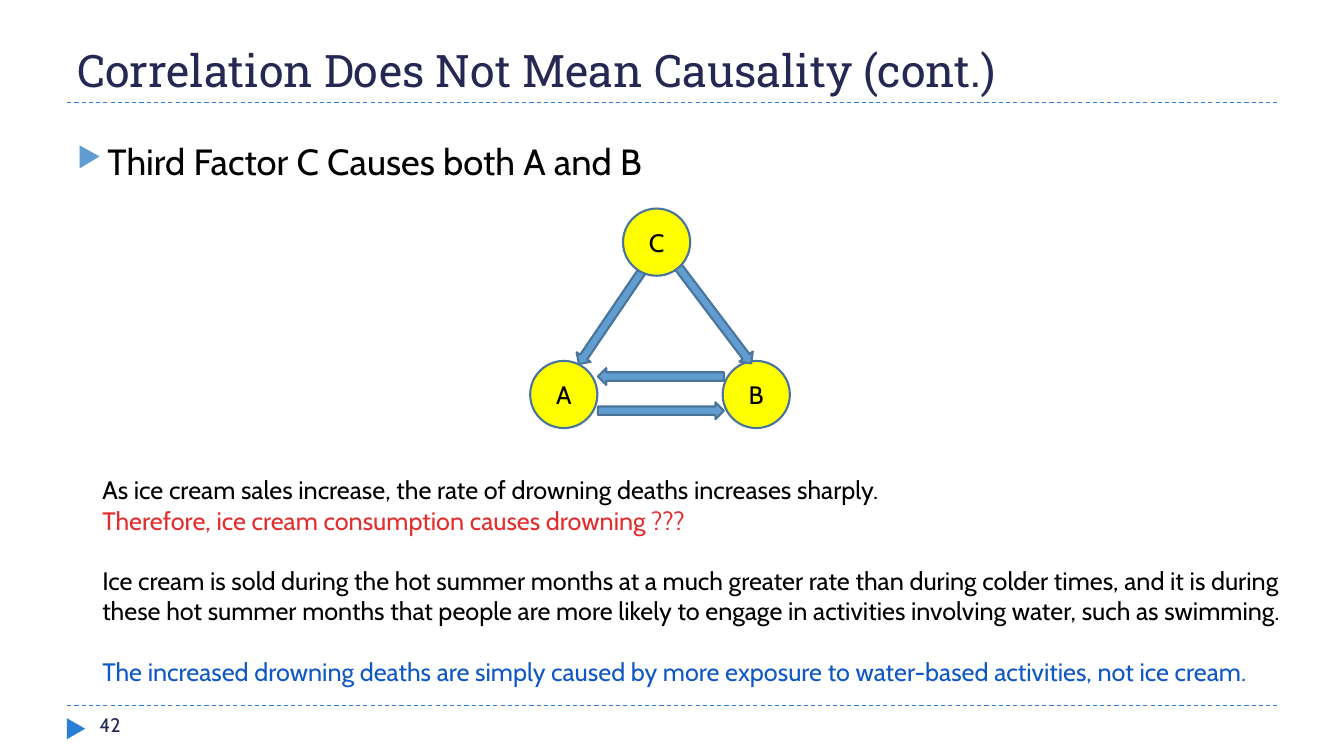
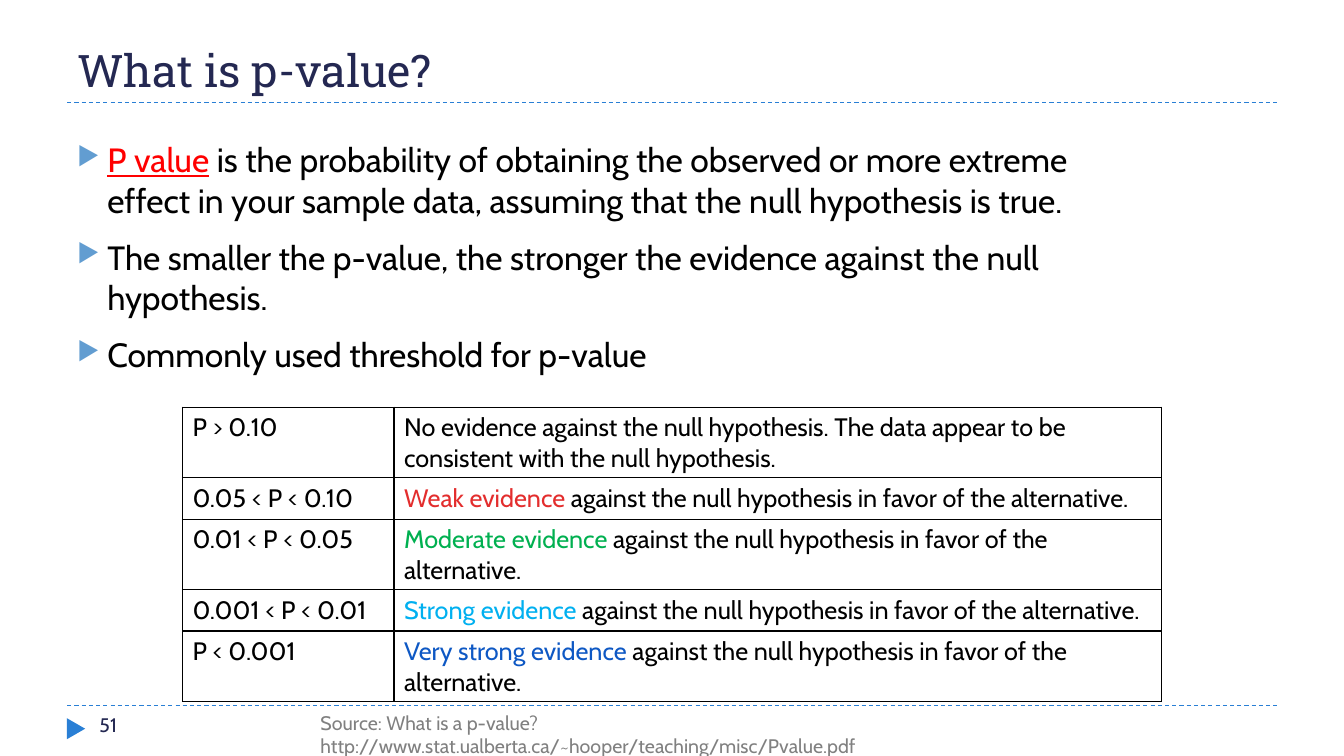
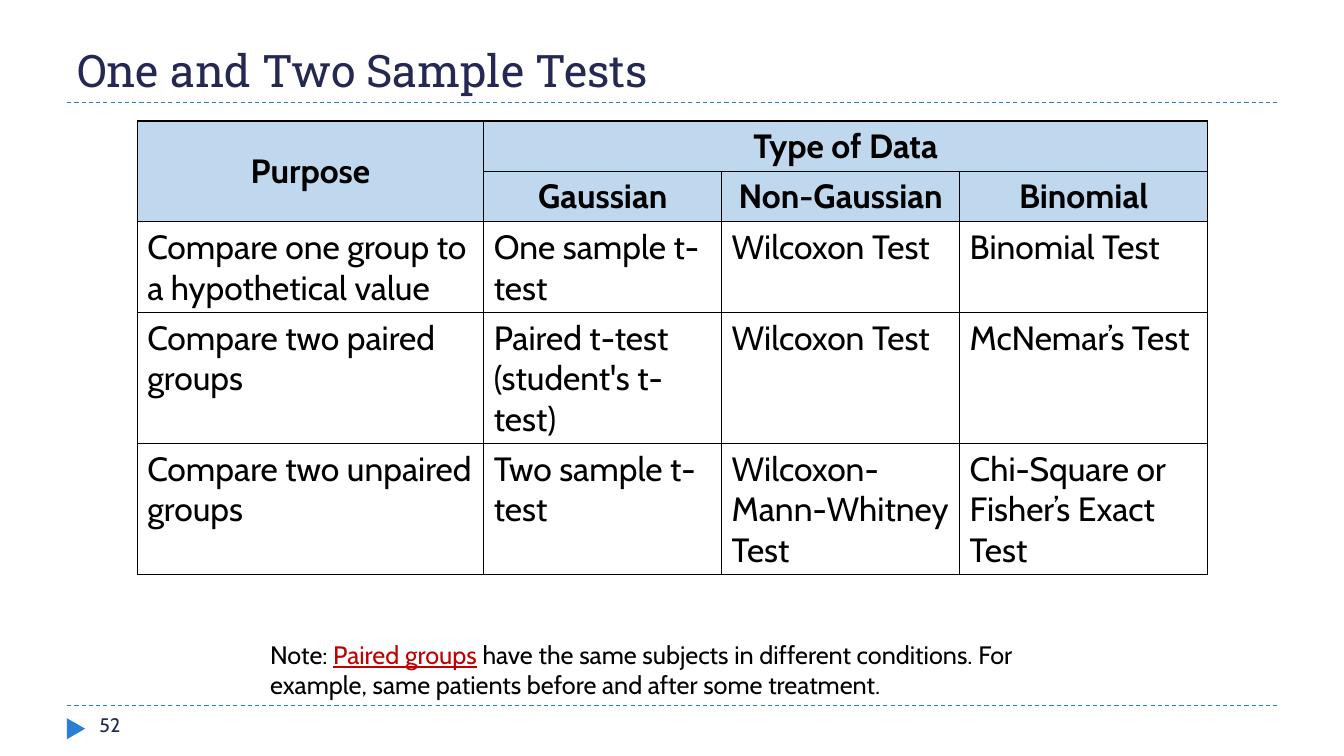
from dataclasses import dataclass

from lxml.etree import SubElement
from pptx import Presentation
from pptx.dml.color import RGBColor
from pptx.enum.dml import MSO_LINE
from pptx.enum.shapes import MSO_CONNECTOR, MSO_SHAPE as Preset
from pptx.enum.text import MSO_ANCHOR as Anchor, PP_ALIGN as Align
from pptx.oxml.ns import qn
from pptx.util import Pt


@dataclass(frozen=True)
class Theme:
    body_font: str = "Cabin"
    title_font: str = "Roboto Slab"
    navy: str = "242852"
    rule: str = "297FD5"
    accent: str = "629DD1"
    outline: str = "49749B"
    node: str = "FFFF00"
    header: str = "C0D8ED"
    black: str = "000000"
    gray: str = "808080"
    red: str = "E32D2D"
    bright_red: str = "FF0000"
    dark_red: str = "C00000"
    green: str = "00B050"
    sky: str = "00B0F0"
    blue: str = "0E58C4"
    title_size: int = 32
    lead_size: int = 26
    large_size: int = 24
    text_size: int = 18
    small_size: int = 14


THEME = Theme()

# Content: a paragraph is a list of spans (text, colour, underlined)
CAUSE_TITLE = "Correlation Does Not Mean Causality (cont.)"
CAUSE_BULLETS = [[("Third Factor C Causes both A and B",)]]
NODES = {"A": (378.7, 257.8), "B": (516.2, 257.8), "C": (445, 149)}
ARROWS = [  # centre x, centre y, rotation
    (472, 293.4, 0), (472, 268.9, 180),
    (438.8, 222.8, 124.2), (509.4, 223.6, 52.9),
]
ICE_CREAM = [
    [("As ice cream sales increase, the rate of drowning deaths increases sharply.",)],
    [("Therefore, ice cream consumption causes drowning ???", THEME.red)],
    [("Ice cream is sold during the hot summer months at a much greater rate than "
      "during colder times, and it is during these hot summer months that people are "
      "more likely to engage in activities involving water, such as swimming.",)],
    [("The increased drowning deaths are simply caused by more exposure to "
      "water-based activities, not ice cream.", THEME.blue)],
]

PVALUE_TITLE = "What is p-value?"
PVALUE_BULLETS = [
    [("P value", THEME.bright_red, True),
     (" is the probability of obtaining the observed or more extreme effect in your "
      "sample data, assuming that the null hypothesis is true.",)],
    [("The smaller the p-value, the stronger the evidence against the null hypothesis.",)],
    [("Commonly used threshold for p-value",)],
]
AGAINST = (" against the null hypothesis in favor of the alternative.",)
EVIDENCE = [
    ("0.05 < P < 0.10", "Weak evidence", THEME.red),
    ("0.01 < P < 0.05", "Moderate evidence", THEME.green),
    ("0.001 < P < 0.01", "Strong evidence", THEME.sky),
    ("P < 0.001", "Very strong evidence", THEME.blue),
]
THRESHOLDS = [
    [[("P > 0.10",)],
     [("No evidence against the null hypothesis. The data appear to be consistent "
       "with the null hypothesis.",)]],
] + [[[(span,)], [(strength, colour), AGAINST]] for span, strength, colour in EVIDENCE]
SOURCE = [[("Source: What is a p-value? "
            "http://www.stat.ualberta.ca/~hooper/teaching/misc/Pvalue.pdf", THEME.gray)]]

TESTS_TITLE = "One and Two Sample Tests"
TESTS = [
    ["Purpose", "Type of Data", "", ""],
    ["", "Gaussian", "Non-Gaussian", "Binomial"],
    ["Compare one group to a hypothetical value", "One sample t-test",
     "Wilcoxon Test", "Binomial Test"],
    ["Compare two paired groups", "Paired t-test (student's t-test)",
     "Wilcoxon Test", "McNemar’s Test"],
    ["Compare two unpaired groups", "Two sample t-test",
     "Wilcoxon-Mann-Whitney Test", "Chi-Square or Fisher’s Exact Test"],
]
PAIRED_NOTE = [[
    ("Note: ",), ("Paired groups", THEME.dark_red, True),
    (" have the same subjects in different conditions. For example, same patients "
     "before and after some treatment.",),
]]


# Text
def write(frame, paragraphs, size, font=THEME.body_font, bold=False, align=Align.LEFT):
    for index, spans in enumerate(paragraphs):
        para = frame.paragraphs[0] if index == 0 else frame.add_paragraph()
        para.alignment = align
        for text, colour, underlined in (
                (*span, THEME.black, False)[:3] if len(span) == 1
                else (*span, False)[:3] for span in spans):
            run = para.add_run()
            run.text = text
            run.font.name = font
            run.font.size = Pt(size)
            run.font.bold = bold
            run.font.underline = underlined
            run.font.color.rgb = RGBColor.from_string(colour)


def add_text(page, place, paragraphs, size, font=THEME.body_font, anchor=Anchor.TOP):
    box = page.shapes.add_textbox(*map(Pt, place))
    box.text_frame.word_wrap = True
    box.text_frame.vertical_anchor = anchor
    write(box.text_frame, paragraphs, size, font)
    return box.text_frame


def add_bullets(page, height, paragraphs, size):
    frame = add_text(page, (48, 96, 756, height), paragraphs, size)
    for index, para in enumerate(frame.paragraphs):
        properties = para._p.get_or_add_pPr()
        properties.set("marL", str(Pt(21.6)))
        properties.set("indent", str(-Pt(21.6)))
        colour = SubElement(properties, qn("a:buClr"))
        SubElement(colour, qn("a:srgbClr"), val=THEME.accent)
        SubElement(properties, qn("a:buSzPct"), val="76000")
        SubElement(properties, qn("a:buChar"), char="▶")
        if index:
            para.space_before = Pt(12)


# Shapes
def add_preset(page, preset, place, fill, outline=None):
    shape = page.shapes.add_shape(preset, *map(Pt, place))
    shape.shadow.inherit = False
    shape.fill.solid()
    shape.fill.fore_color.rgb = RGBColor.from_string(fill)
    if outline:
        shape.line.color.rgb = RGBColor.from_string(outline)
        shape.line.width = Pt(1.5)
    else:
        shape.line.fill.background()
    return shape


def add_node(page, name):
    node = add_preset(page, Preset.OVAL, (*NODES[name], 48, 48), THEME.node, THEME.outline)
    frame = node.text_frame
    frame.margin_left = frame.margin_right = 0
    frame.vertical_anchor = Anchor.MIDDLE
    write(frame, [[(name,)]], THEME.text_size, align=Align.CENTER)


def add_rule(page, y):
    rule = page.shapes.add_connector(MSO_CONNECTOR.STRAIGHT, Pt(48), Pt(y), Pt(912), Pt(y))
    rule.line.color.rgb = RGBColor.from_string(THEME.rule)
    rule.line.width = Pt(0.75)
    rule.line.dash_style = MSO_LINE.DASH
    SubElement(rule._element.spPr, qn("a:effectLst"))


# Tables
def add_borders(cell):
    properties = cell._tc.get_or_add_tcPr()
    for side in ("lnL", "lnR", "lnT", "lnB"):
        line = SubElement(properties, qn(f"a:{side}"), w=str(Pt(1)))
        fill = SubElement(line, qn("a:solidFill"))
        SubElement(fill, qn("a:srgbClr"), val=THEME.black)


def add_grid(page, left, top, widths, rows, size, header_rows=0):
    row_height = 29.5
    table = page.shapes.add_table(
        len(rows), len(widths), Pt(left), Pt(top),
        Pt(sum(widths)), Pt(row_height * len(rows))).table
    table.first_row = table.horz_banding = False
    for column, width in zip(table.columns, widths):
        column.width = Pt(width)
    for r, row in enumerate(rows):
        table.rows[r].height = Pt(row_height)
        is_header = r < header_rows
        for c, spans in enumerate(row):
            cell = table.cell(r, c)
            add_borders(cell)
            if is_header:
                cell.fill.solid()
                cell.fill.fore_color.rgb = RGBColor.from_string(THEME.header)
                cell.vertical_anchor = Anchor.MIDDLE
            else:
                cell.fill.background()
            write(cell.text_frame, [spans], size, bold=is_header,
                  align=Align.CENTER if is_header else Align.LEFT)
    return table


# Page frame shared by all slides
def add_page(deck, title, number):
    page = deck.slides.add_slide(deck.slide_layouts[6])
    for y in (504, 73.4):
        add_rule(page, y)
    marker = add_preset(page, Preset.ISOSCELES_TRIANGLE, (46.8, 514, 15, 13), THEME.rule)
    marker.rotation = 90
    add_text(page, (48, 12.2, 864, 60.5), [[(title, THEME.navy)]],
             THEME.title_size, THEME.title_font, Anchor.BOTTOM)
    add_text(page, (64, 506, 208, 23), [[(str(number), THEME.navy)]], THEME.small_size)
    return page


# Slides
def build_cause(deck):
    page = add_page(deck, CAUSE_TITLE, 42)
    add_bullets(page, 48, CAUSE_BULLETS, THEME.lead_size)
    add_node(page, "A")
    add_node(page, "B")
    length, thickness = 90, 12
    for x, y, angle in ARROWS:
        place = (x - length / 2, y - thickness / 2, length, thickness)
        arrow = add_preset(page, Preset.RIGHT_ARROW, place, THEME.accent, THEME.outline)
        arrow.rotation = angle
    add_node(page, "C")
    frame = add_text(page, (66, 335.5, 858, 138), ICE_CREAM, THEME.text_size)
    for para in frame.paragraphs[2:]:
        para.space_before = Pt(21.6)


def build_pvalue(deck):
    page = add_page(deck, PVALUE_TITLE, 51)
    add_bullets(page, 172, PVALUE_BULLETS, THEME.large_size)
    add_grid(page, 130.3, 290.9, (151.2, 548), THRESHOLDS, THEME.text_size)
    add_text(page, (221.8, 504, 528, 24.5), SOURCE, THEME.small_size)


def build_tests(deck):
    page = add_page(deck, TESTS_TITLE, 52)
    rows = [[[(text,)] if text else [] for text in row] for row in TESTS]
    table = add_grid(page, 98, 86.4, (247.5, 170, 170, 177), rows,
                     THEME.large_size, header_rows=2)
    table.cell(0, 0).merge(table.cell(1, 0))
    table.cell(0, 1).merge(table.cell(0, 3))
    add_text(page, (185.8, 453, 588, 51), PAIRED_NOTE, THEME.text_size)


def main():
    deck = Presentation()
    deck.slide_width, deck.slide_height = Pt(960), Pt(540)
    for build in (build_cause, build_pvalue, build_tests):
        build(deck)
    deck.save("out.pptx")


if __name__ == "__main__":
    main()
